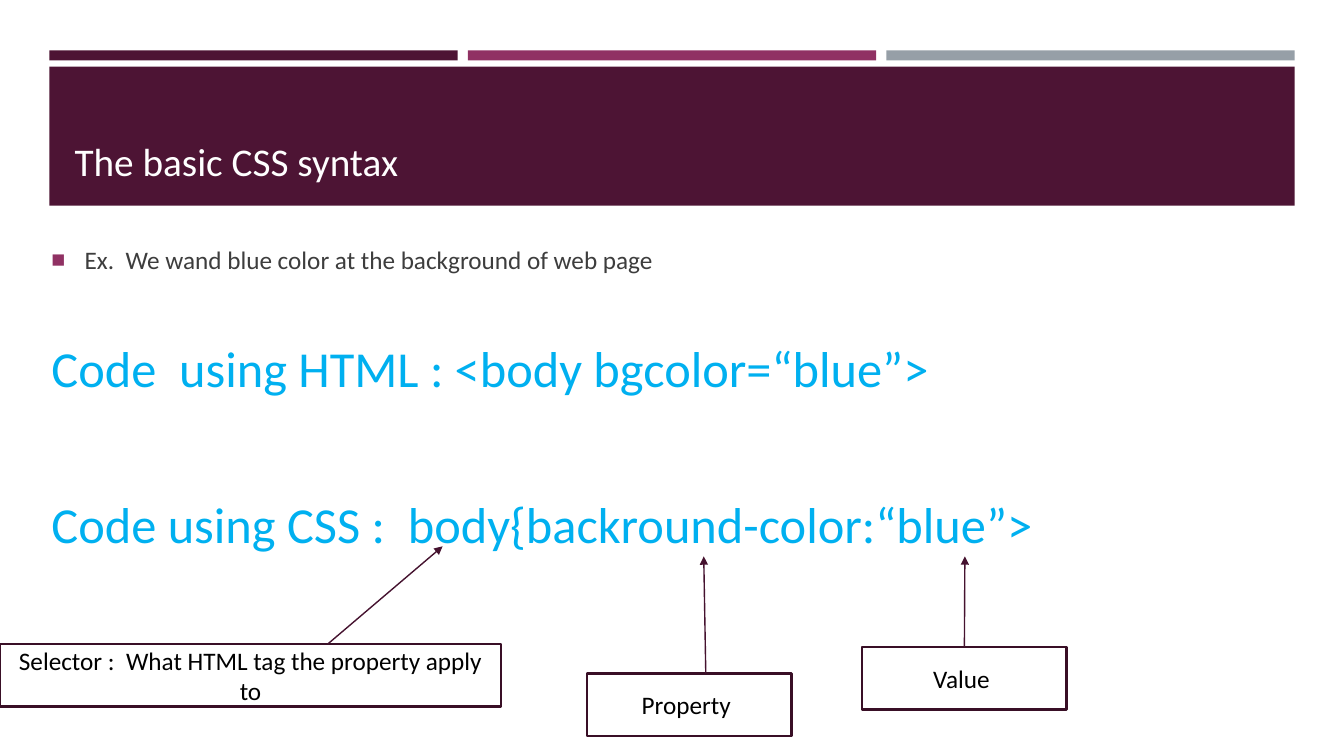
import pptx
import pptx.dml.color
import pptx.enum.shapes
import pptx.enum.text
import pptx.oxml
import pptx.oxml.ns
import pptx.util

Inches = pptx.util.Inches
Pt = pptx.util.Pt
RGBColor = pptx.dml.color.RGBColor
Anchor = pptx.enum.text.MSO_ANCHOR
Align = pptx.enum.text.PP_ALIGN

FONT = "Calibri"
PLUM = RGBColor(0x4D, 0x14, 0x34)
MAGENTA = RGBColor(0x90, 0x31, 0x63)
GREY = RGBColor(0x96, 0x9F, 0xA7)
WHITE = RGBColor(0xFF, 0xFF, 0xFF)
BLACK = RGBColor(0x00, 0x00, 0x00)
TEXT_GREY = RGBColor(0x3D, 0x3D, 0x3D)
CODE_BLUE = RGBColor(0x00, 0xB0, 0xF0)
ARROW = RGBColor(0x45, 0x12, 0x2F)
BORDER = RGBColor(0x39, 0x0F, 0x26)

# Label text, box, arrow start and arrow tip; no start means the box's top middle
LABELS = [
    ("Selector :  What HTML tag the property apply to",
     (0, 6.39, 4.97, 0.62), (3.25, 6.39), (4.39, 5.42)),
    ("Property ", (5.82, 6.68, 2.03, 0.62), (7, 6.68), (6.98, 5.52)),
    ("Value ", (8.55, 6.42, 2.03, 0.62), None, (9.57, 5.52)),
]


def add_xml(parent, xml):
    namespaces = pptx.oxml.ns.nsdecls("a")
    parent.append(pptx.oxml.parse_xml(xml.replace("/>", f" {namespaces}/>", 1)
                                      if xml.count("<") == 1
                                      else xml.replace(">", f" {namespaces}>", 1)))


def add_text(para, text, size, color):
    span = para.add_run()
    span.text = text
    span.font.name = FONT
    span.font.size = Pt(size)
    span.font.color.rgb = color


def add_box(page, box, fill):
    shape = page.shapes.add_shape(pptx.enum.shapes.MSO_SHAPE.RECTANGLE,
                                  *map(Inches, box))
    shape.shadow.inherit = False
    shape.fill.solid()
    shape.fill.fore_color.rgb = fill
    shape.line.fill.background()
    return shape


def move(shape, box):
    shape.left, shape.top, shape.width, shape.height = map(Inches, box)


def add_header(page, box):
    left, top, width, height = box
    # Three bars above the title panel
    gap = 0.1
    bar_width = (width - 2 * gap) / 3
    for index, color in enumerate((PLUM, MAGENTA, GREY)):
        add_box(page, (left + index * (bar_width + gap), top, bar_width, 0.1), color)
    # Title panel, sent behind the title placeholder
    panel = add_box(page, (left, top + 0.16, width, height - 0.16), PLUM)
    page.shapes.title.element.addprevious(panel.element)

    title = page.shapes.title
    move(title, (left + 0.15, top + 0.3, width - 0.3, 1.08))
    title.text_frame.auto_size = pptx.enum.text.MSO_AUTO_SIZE.NONE
    title.text_frame.vertical_anchor = Anchor.BOTTOM
    para = title.text_frame.paragraphs[0]
    para.alignment = Align.LEFT
    add_text(para, "The basic CSS syntax", 28, WHITE)


def add_body(page, box):
    body = page.placeholders[1]
    move(body, box)
    frame = body.text_frame
    frame.auto_size = pptx.enum.text.MSO_AUTO_SIZE.NONE
    frame.vertical_anchor = Anchor.TOP

    # Bulleted example
    para = frame.paragraphs[0]
    properties = para._p.get_or_add_pPr()
    properties.set("marL", str(Inches(0.33)))
    properties.set("indent", str(Inches(-0.33)))
    add_xml(properties, f'<a:buClr><a:srgbClr val="{MAGENTA}"/></a:buClr>')
    add_xml(properties, '<a:buSzPct val="92000"/>')
    add_xml(properties, '<a:buFont typeface="Arial"/>')
    add_xml(properties, '<a:buChar char="■"/>')
    para.space_before = Pt(0)
    para.space_after = Pt(6)
    add_text(para, "Ex.  We wand blue color at the background of web page",
             18, TEXT_GREY)

    # Code lines
    for text, space in (("Code  using HTML :\t<body bgcolor=“blue”>", 39),
                        ("Code using CSS :  body{backround-color:“blue”>", 62)):
        para = frame.add_paragraph()
        properties = para._p.get_or_add_pPr()
        properties.set("marL", "0")
        properties.set("indent", "0")
        add_xml(properties, "<a:buNone/>")
        if "\t" in text:
            add_xml(properties, f'<a:tabLst><a:tab pos="{Inches(4.33)}" algn="l"/></a:tabLst>')
        para.space_before = Pt(space)
        para.space_after = Pt(6)
        add_text(para, text, 36, CODE_BLUE)


def add_label(page, text, box, start, tip):
    label = add_box(page, box, WHITE)
    label.line.color.rgb = BORDER
    label.line.width = Pt(1.75)
    frame = label.text_frame
    frame.word_wrap = True
    frame.vertical_anchor = Anchor.MIDDLE
    para = frame.paragraphs[0]
    para.alignment = Align.CENTER
    add_text(para, text, 18, BLACK)

    # Arrow from the label to the code
    left, top, width, height = box
    start_point = start or (left + width / 2, top)
    arrow = page.shapes.add_connector(pptx.enum.shapes.MSO_CONNECTOR.STRAIGHT,
                                      *map(Inches, start_point + tip))
    if start is None:
        arrow.begin_connect(label, 0)
    arrow.line.color.rgb = ARROW
    arrow.line.width = Pt(1)
    add_xml(arrow.line._get_or_add_ln(), '<a:tailEnd type="triangle"/>')
    add_xml(arrow.element.spPr, "<a:effectLst/>")


def main():
    deck = pptx.Presentation()
    deck.slide_width = Inches(13.33)
    deck.slide_height = Inches(7.5)
    page = deck.slides.add_slide(deck.slide_layouts[1])
    add_header(page, (0.49, 0.5, 12.35, 1.54))
    add_body(page, (0.41, 2.37, 12.06, 4.02))
    for label in LABELS:
        add_label(page, *label)
    deck.save("out.pptx")


if __name__ == "__main__":
    main()
